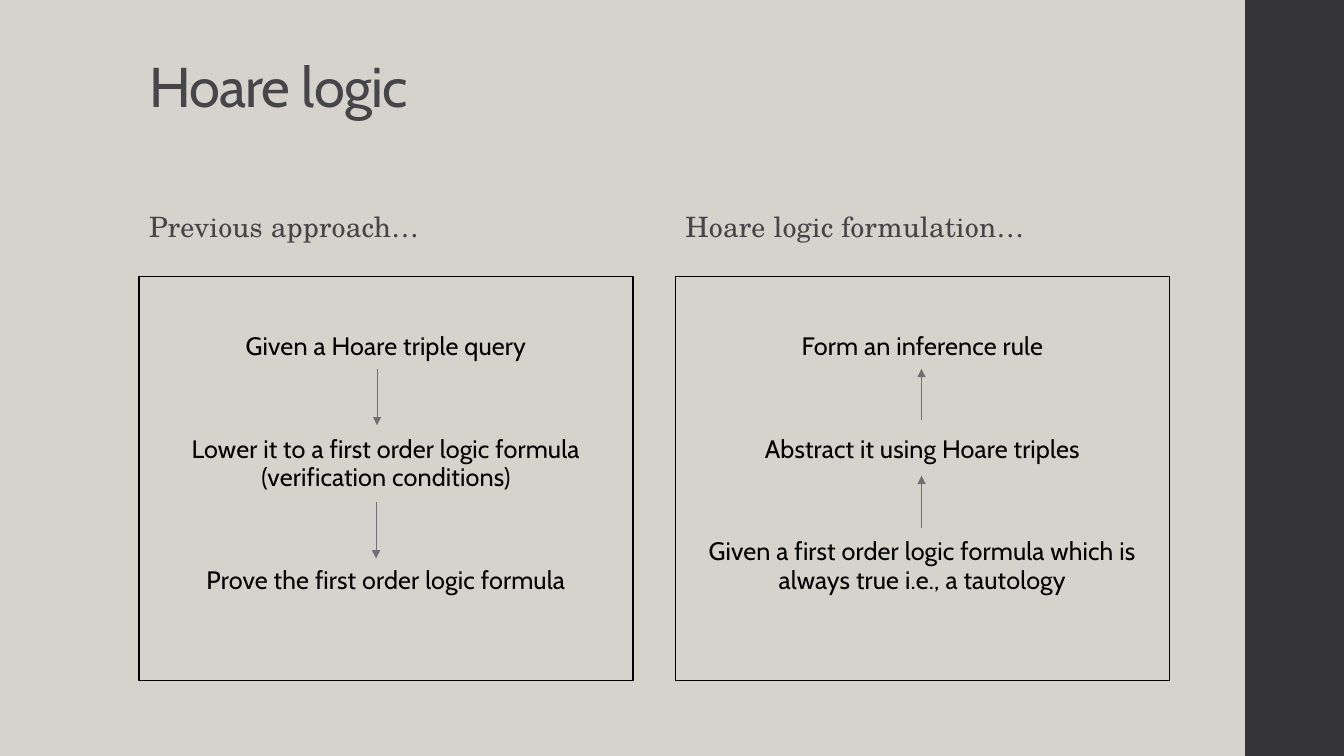
from lxml.etree import SubElement
from pptx import Presentation
from pptx.dml.color import RGBColor
from pptx.enum.shapes import MSO_CONNECTOR as LINE, MSO_SHAPE as SHAPE
from pptx.enum.text import MSO_ANCHOR as ANCHOR, PP_ALIGN as ALIGN
from pptx.oxml.ns import qn
from pptx.util import Inches, Pt

SAND = RGBColor(0xD6, 0xD3, 0xCC)
DARK = RGBColor(0x35, 0x35, 0x37)
SLATE = RGBColor(0x46, 0x46, 0x4A)
GRAY = RGBColor(0x6F, 0x6F, 0x74)
BLACK = RGBColor(0, 0, 0)

TITLE = {"name": "Cabin", "size": Pt(40), "color": SLATE, "track": -50}
HEAD = {"name": "TeX Gyre Schola", "size": Pt(20), "color": SLATE, "track": 10}
STEP = {"name": "Cabin", "size": Pt(18), "color": BLACK, "track": 10}


def write(para, text, style, format):
    for key, value in format.items():
        setattr(para, key, value)
    run = para.add_run()
    run.text = text
    run.font.name = style["name"]
    run.font.size = style["size"]
    run.font.color.rgb = style["color"]
    run._r.get_or_add_rPr().set("spc", str(style["track"]))


def label(left, top, width, height, text, style, format, bottom):
    box = slide.shapes.add_textbox(
        Inches(left), Inches(top), Inches(width), Inches(height))
    frame = box.text_frame
    frame.word_wrap = True
    frame.vertical_anchor = ANCHOR.BOTTOM
    frame.margin_bottom = Inches(bottom)
    write(frame.paragraphs[0], text, style, format)


deck = Presentation()
deck.slide_width = Inches(13.33)
deck.slide_height = Inches(7.5)
slide = deck.slides.add_slide(deck.slide_layouts[6])
slide.background.fill.solid()
slide.background.fill.fore_color.rgb = SAND

side = slide.shapes.add_shape(
    SHAPE.RECTANGLE, Inches(12.35), 0, Inches(0.98), Inches(7.5))
side.shadow.inherit = False
side.fill.solid()
side.fill.fore_color.rgb = DARK
side.line.fill.background()

label(1.38, 0.4, 10.6, 1.45, "Hoare logic", TITLE, {"line_spacing": 0.9}, 0.66)

columns = [
    (1.38, "Previous approach…", [
        "Given a Hoare triple query",
        "Lower it to a first order logic formula (verification conditions)",
        "Prove the first order logic formula"]),
    (6.7, "Hoare logic formulation…", [
        "Form an inference rule",
        "Abstract it using Hoare triples",
        "Given a first order logic formula which is always true i.e., a tautology"]),
]
for left, head, steps in columns:
    label(left, 1.67, 4.9, 0.8, head, HEAD,
          {"line_spacing": 0.95, "space_after": Pt(2)}, 0.05)
    box = slide.shapes.add_shape(
        SHAPE.RECTANGLE, Inches(left), Inches(2.74), Inches(4.9), Inches(4.01))
    box.shadow.inherit = False
    box.fill.background()
    box.line.color.rgb = BLACK
    box.line.width = Pt(1)
    frame = box.text_frame
    frame.word_wrap = True
    frame.vertical_anchor = ANCHOR.TOP
    frame.margin_top = Inches(0.56)
    for i, step in enumerate(steps):
        para = frame.add_paragraph() if i else frame.paragraphs[0]
        write(para, step, STEP, {
            "alignment": ALIGN.CENTER,
            "line_spacing": 0.95,
            "space_before": Pt(50.7 if i else 0),
            "space_after": Pt(2)})

arrows = [(3.74, 3.66, 4.22), (3.73, 4.98, 5.54),
          (9.14, 5.24, 4.72), (9.14, 4.17, 3.66)]
for x, start, end in arrows:
    arrow = slide.shapes.add_connector(
        LINE.STRAIGHT, Inches(x), Inches(start), Inches(x), Inches(end))
    arrow.line.color.rgb = GRAY
    arrow.line.width = Pt(0.75)
    SubElement(arrow.line._get_or_add_ln(), qn("a:tailEnd"), type="triangle")
    SubElement(arrow._element.spPr, qn("a:effectLst"))

deck.save("out.pptx")
